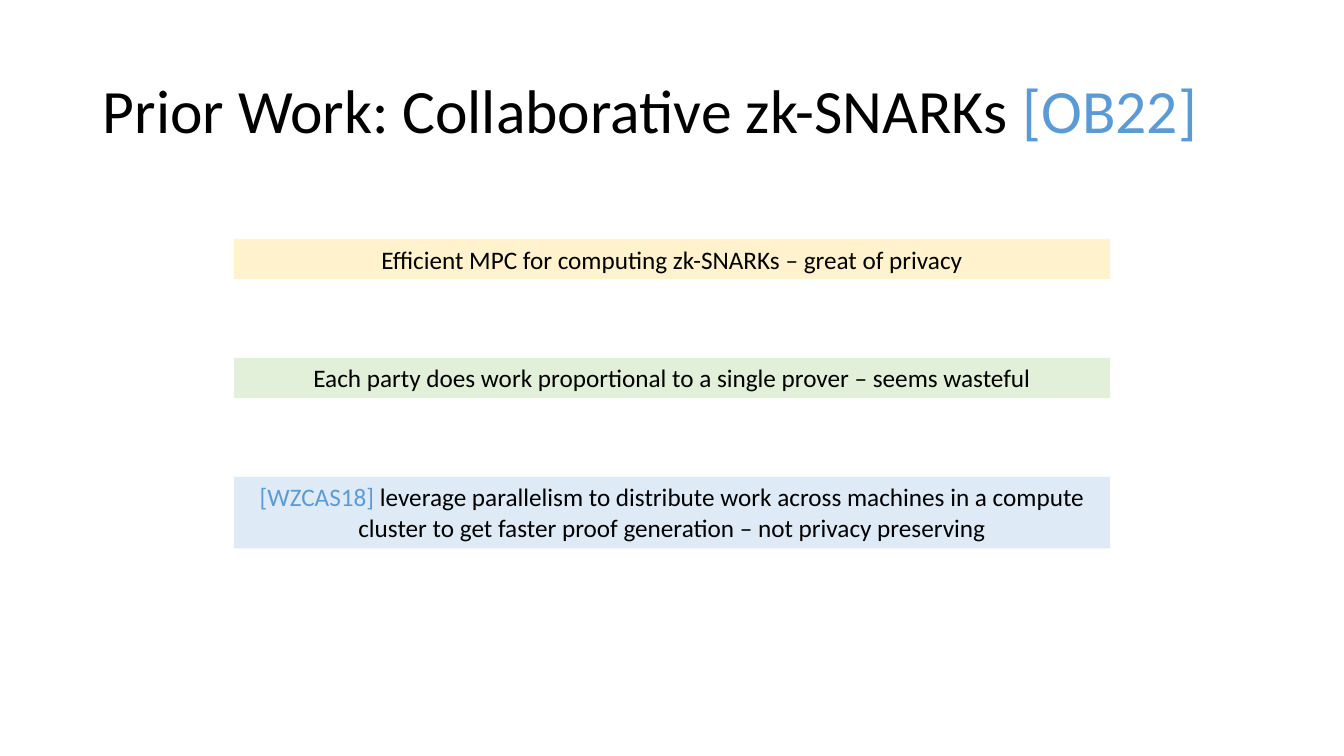
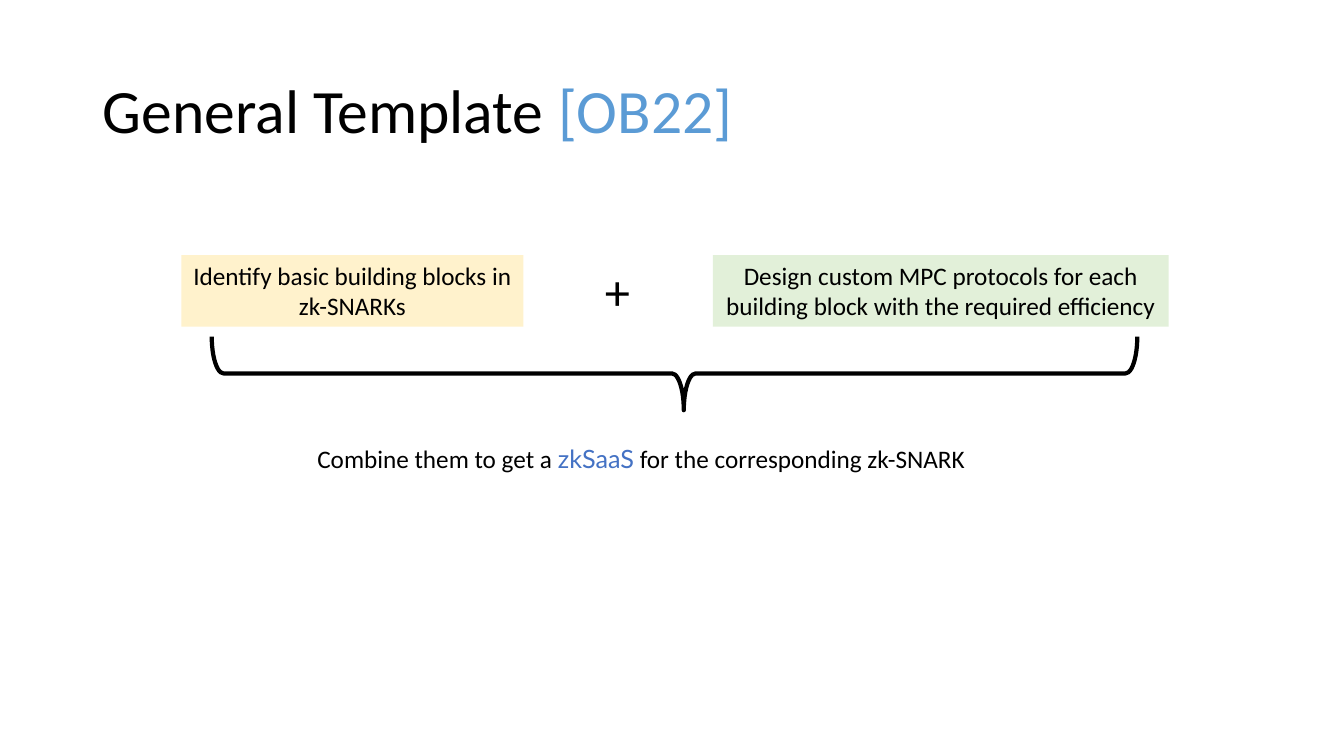
from pptx import Presentation
from pptx.dml.color import RGBColor
from pptx.enum.shapes import MSO_SHAPE
from pptx.enum.text import MSO_ANCHOR, MSO_AUTO_SIZE, PP_ALIGN
from pptx.util import Inches, Pt

BLACK = "000000"
CITATION = "5B9BD5"
ACCENT = "4472C4"
YELLOW = "FFF2CC"
GREEN = "E2F0D9"
BLUE = "DEEBF7"
FONT = "Calibri"
ACCENT_FONT = "Lato"


def color(value):
    """Turn a hex string into a colour."""
    return RGBColor.from_string(value)


class Slides:
    """Hold the deck, its style and the current slide."""

    def __init__(self):
        """Start an empty widescreen deck."""
        self.deck = Presentation()
        self.deck.slide_width = Inches(13.33)
        self.deck.slide_height = Inches(7.5)
        self.slide = None

    def add_spans(self, para, spans, size):
        """Fill a paragraph with (text, colour, font) spans."""
        for text, ink, font in spans:
            span = para.add_run()
            span.text = text
            span.font.size = Pt(size)
            span.font.name = font
            span.font.color.rgb = color(ink)

    def add_slide(self, title, citation):
        """Add a slide whose title ends with a citation."""
        self.slide = self.deck.slides.add_slide(self.deck.slide_layouts[5])
        box = self.slide.shapes.title
        box.left, box.top = Inches(0.92), Inches(0.4)
        box.width, box.height = Inches(11.5), Inches(1.45)
        frame = box.text_frame
        frame.auto_size = MSO_AUTO_SIZE.NONE
        frame.word_wrap = True
        frame.vertical_anchor = MSO_ANCHOR.MIDDLE
        para = frame.paragraphs[0]
        para.alignment = PP_ALIGN.LEFT
        para.line_spacing = 0.9
        self.add_spans(para, [(title + " ", BLACK, FONT), (citation, CITATION, FONT)], 44)

    def add_text(self, left, top, width, height, spans, size=18, fill=None):
        """Add centred text, wrapped on a panel when a fill is given."""
        box = self.slide.shapes.add_textbox(
            Inches(left), Inches(top), Inches(width), Inches(height))
        if fill:
            box.fill.solid()
            box.fill.fore_color.rgb = color(fill)
        frame = box.text_frame
        frame.word_wrap = fill is not None
        frame.auto_size = MSO_AUTO_SIZE.SHAPE_TO_FIT_TEXT
        para = frame.paragraphs[0]
        para.alignment = PP_ALIGN.CENTER
        self.add_spans(para, spans, size)

    def add_brace(self, left, top, width, height):
        """Add a brace that opens upwards over the given area."""
        brace = self.slide.shapes.add_shape(
            MSO_SHAPE.RIGHT_BRACE,
            Inches(left + (width - height) / 2), Inches(top + (height - width) / 2),
            Inches(height), Inches(width))
        brace.rotation = 90
        brace.adjustments[0] = 0.16
        brace.adjustments[1] = 0.49
        brace.shadow.inherit = False
        brace.fill.background()
        brace.line.color.rgb = color(BLACK)
        brace.line.width = Pt(3)


def add_prior_work(slides):
    """Build the slide on prior work."""
    slides.add_slide("Prior Work: Collaborative zk-SNARKs", "[OB22]")
    panels = [
        (YELLOW, 0.4, [("Efficient MPC for computing zk-SNARKs – great of privacy", BLACK, FONT)]),
        (GREEN, 0.4, [("Each party does work proportional to a single prover – seems wasteful",
                       BLACK, FONT)]),
        (BLUE, 0.71, [("[WZCAS18] ", CITATION, FONT),
                      ("leverage parallelism to distribute work across machines in a compute "
                       "cluster to get faster proof generation – not privacy preserving",
                       BLACK, FONT)]),
    ]
    for row, (fill, height, spans) in enumerate(panels):
        slides.add_text(2.32, 2.37 + 1.18 * row, 8.69, height, spans, fill=fill)


def add_template(slides):
    """Build the slide on the general template."""
    slides.add_slide("General Template", "[OB22]")
    top, height = 2.53, 0.71
    slides.add_text(1.8, top, 3.39, height,
                    [("Identify basic building blocks in zk-SNARKs", BLACK, FONT)], fill=YELLOW)
    slides.add_text(5.9, top, 0.45, height, [("+", BLACK, FONT)], size=36)
    slides.add_text(7.07, top, 4.52, height,
                    [("Design custom MPC protocols for each building block "
                      "with the required efficiency", BLACK, FONT)], fill=GREEN)
    slides.add_brace(2.1, 3.34, 9.18, 0.73)
    slides.add_text(3.01, 4.35, 6.7, 0.4,
                    [("Combine them to get a ", BLACK, FONT),
                     ("zkSaaS", ACCENT, ACCENT_FONT),
                     (" for the corresponding zk-SNARK", BLACK, FONT)])


def main():
    """Build and save the deck."""
    slides = Slides()
    add_prior_work(slides)
    add_template(slides)
    slides.deck.save("out.pptx")


if __name__ == "__main__":
    main()
